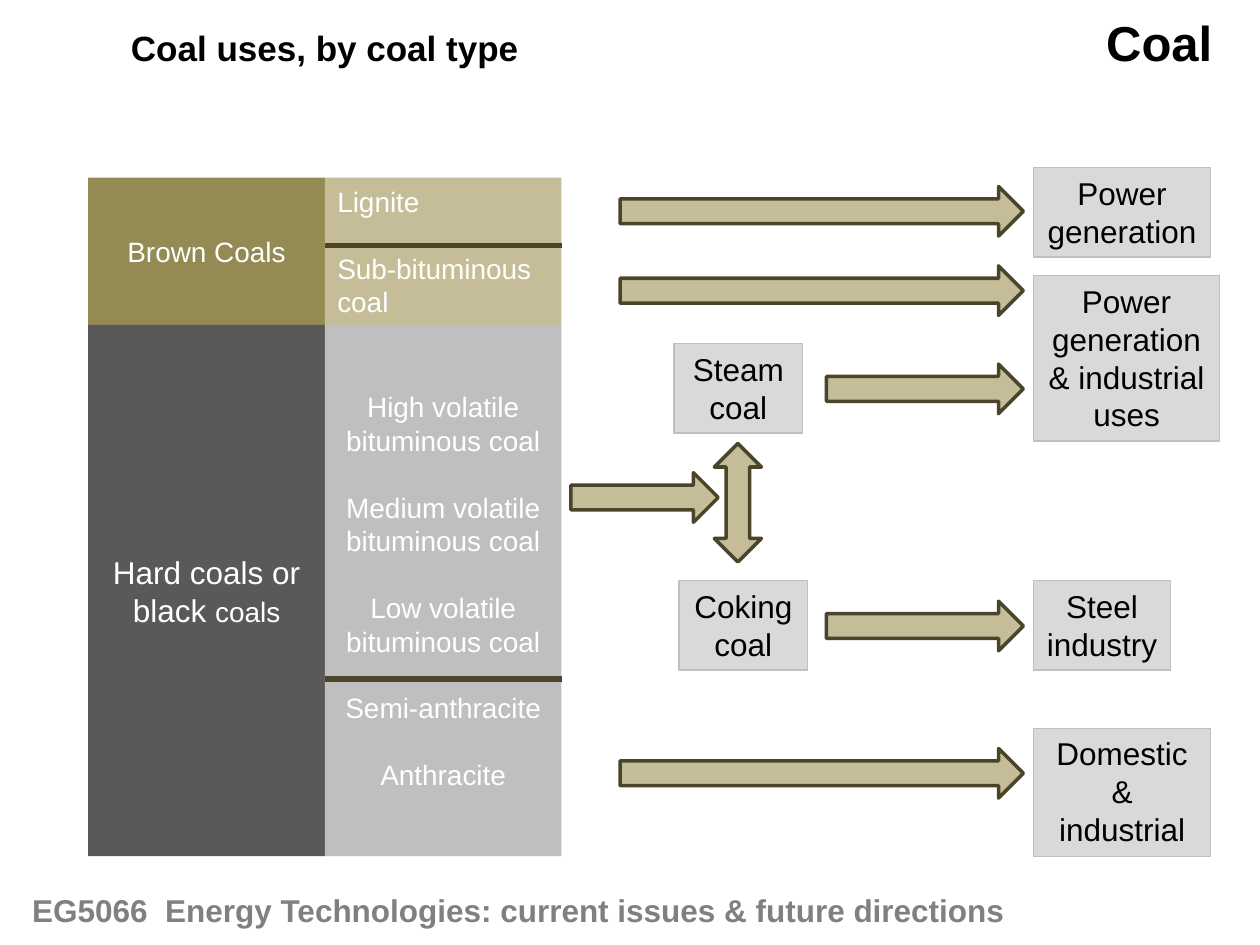
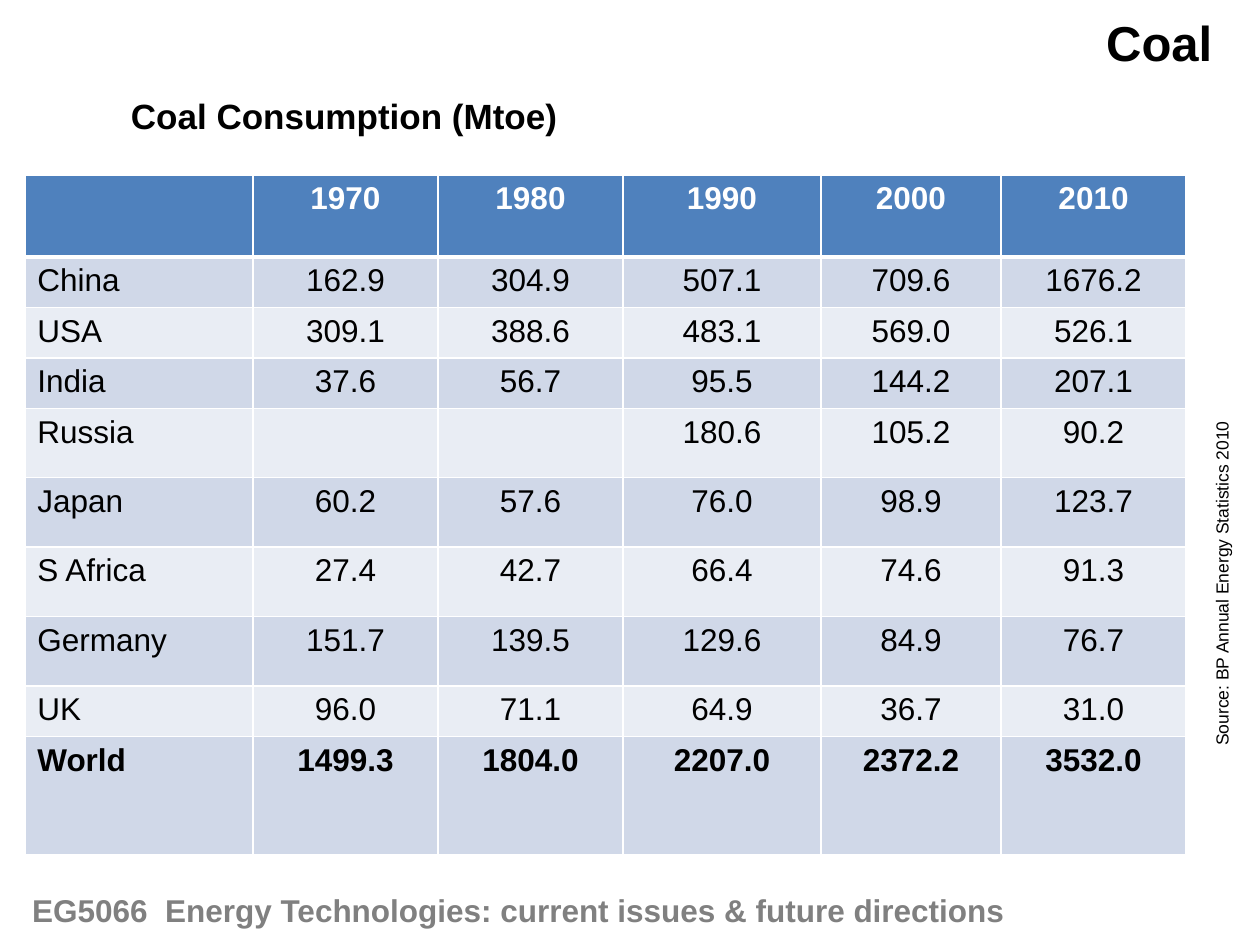
from lxml import etree
from pptx import Presentation
from pptx.dml.color import RGBColor
from pptx.enum.shapes import MSO_CONNECTOR, MSO_SHAPE
from pptx.enum.text import MSO_ANCHOR, PP_ALIGN
from pptx.oxml.ns import qn
from pptx.util import Cm, Pt

BLACK = RGBColor(0x00, 0x00, 0x00)
WHITE = RGBColor(0xFF, 0xFF, 0xFF)
FOOTER_GREY = RGBColor(0x80, 0x80, 0x80)
OLIVE = RGBColor(0x94, 0x8A, 0x54)
SAND = RGBColor(0xC4, 0xBD, 0x97)
DARK_OLIVE = RGBColor(0x4A, 0x45, 0x2A)
COAL_GREY = RGBColor(0x59, 0x59, 0x59)
SILVER = RGBColor(0xBF, 0xBF, 0xBF)
PALE_GREY = RGBColor(0xD9, 0xD9, 0xD9)
HEADER_BLUE = RGBColor(0x4F, 0x81, 0xBD)
BAND_BLUE = RGBColor(0xD0, 0xD8, 0xE8)
BAND_PALE = RGBColor(0xE9, 0xED, 0xF4)

TITLE_FORMAT = {"size": Pt(28), "bold": True}
HEADING_FORMAT = {"size": Pt(20), "bold": True}
FOOTER_FORMAT = {"size": Pt(18), "bold": True}
SOURCE_FORMAT = {"size": Pt(10), "bold": False}
BODY_FORMAT = {"size": Pt(18), "bold": False}
STRONG_FORMAT = {"size": Pt(18), "bold": True}
BAND_FORMAT = {"size": Pt(16), "bold": False}

FOOTER = "EG5066  Energy Technologies: current issues & future directions"
BAND_LEFT, BAND_TOP, BAND_WIDTH = 1.78, 3.58, 4.77
BROWN_HEIGHT, HARD_HEIGHT = 2.97, 10.71
TYPE_LEFT = BAND_LEFT + BAND_WIDTH
HARD_TOP = BAND_TOP + BROWN_HEIGHT
BOX_LINE = 1.8
USE_LEFT = 20.83
ARROW_END = 20.63

COLUMN_WIDTHS = [4.6, 3.73, 3.73, 3.99, 3.63, 3.73]
ROW_HEIGHTS = [1.65] + [0.97] * 3 + [1.4] * 4 + [0.97, 2.38]
CONSUMPTION = [
    ["", "1970", "1980", "1990", "2000", "2010"],
    ["China", "162.9", "304.9", "507.1", "709.6", "1676.2"],
    ["USA", "309.1", "388.6", "483.1", "569.0", "526.1"],
    ["India", "37.6", "56.7", "95.5", "144.2", "207.1"],
    ["Russia", "", "", "180.6", "105.2", "90.2"],
    ["Japan", "60.2", "57.6", "76.0", "98.9", "123.7"],
    ["S Africa", "27.4", "42.7", "66.4", "74.6", "91.3"],
    ["Germany", "151.7", "139.5", "129.6", "84.9", "76.7"],
    ["UK", "96.0", "71.1", "64.9", "36.7", "31.0"],
    ["World", "1499.3", "1804.0", "2207.0", "2372.2", "3532.0"],
]


def format_font(font, values, color):
    for name, value in {"name": "Arial", **values}.items():
        setattr(font, name, value)
    font.color.rgb = color


def write(text_frame, paragraphs, values, color=BLACK, align=PP_ALIGN.LEFT,
          anchor=MSO_ANCHOR.TOP, wrap=True, gap=0):
    """Fill a text frame; gap is the space in points between paragraphs."""
    text_frame.word_wrap = wrap
    text_frame.vertical_anchor = anchor
    for index, text in enumerate(paragraphs):
        paragraph = text_frame.paragraphs[0] if index == 0 else text_frame.add_paragraph()
        paragraph.alignment = align
        if index and gap:
            paragraph.space_before = Pt(gap)
        run = paragraph.add_run()
        run.text = text
        format_font(run.font, values, color)


def add_label(slide, text, left, top, width, height, values, color=BLACK, wrap=False):
    label = slide.shapes.add_textbox(Cm(left), Cm(top), Cm(width), Cm(height))
    write(label.text_frame, [text], values, color, wrap=wrap)
    return label


def add_filled_shape(shapes, kind, left, top, width, height, fill, line=None, weight=0.75):
    shape = shapes.add_shape(kind, Cm(left), Cm(top), Cm(width), Cm(height))
    shape.shadow.inherit = False
    shape.fill.solid()
    shape.fill.fore_color.rgb = fill
    if line is None:
        shape.line.fill.background()
    else:
        shape.line.color.rgb = line
        shape.line.width = Pt(weight)
    return shape


def add_band(shapes, left, top, height, fill, paragraphs, values=BAND_FORMAT,
             align=PP_ALIGN.CENTER):
    band = add_filled_shape(shapes, MSO_SHAPE.RECTANGLE, left, top, BAND_WIDTH, height, fill)
    write(band.text_frame, paragraphs, values, WHITE, align, MSO_ANCHOR.MIDDLE, gap=19)
    return band


def add_box(slide, text, left, top, width, height=BOX_LINE):
    box = add_filled_shape(slide.shapes, MSO_SHAPE.RECTANGLE, left, top, width, height,
                           PALE_GREY, SILVER)
    write(box.text_frame, [text], BODY_FORMAT, align=PP_ALIGN.CENTER)


def add_arrow(slide, left, top, width, height=1, kind=MSO_SHAPE.RIGHT_ARROW):
    add_filled_shape(slide.shapes, kind, left, top, width, height, SAND, DARK_OLIVE, 2)


def add_divider(slide, top):
    divider = slide.shapes.add_connector(
        MSO_CONNECTOR.STRAIGHT, Cm(TYPE_LEFT), Cm(top), Cm(TYPE_LEFT + BAND_WIDTH), Cm(top))
    divider.line.color.rgb = DARK_OLIVE
    divider.line.width = Pt(3)
    etree.SubElement(divider.element.spPr, qn("a:effectLst"))


def add_cell_borders(cell, widths):
    """Draw white borders; widths maps a side (L, R, T, B) to points."""
    properties = cell._tc.get_or_add_tcPr()
    for side, width in widths.items():
        border = etree.SubElement(properties, qn(f"a:ln{side}"), w=str(Pt(width)))
        fill = etree.SubElement(border, qn("a:solidFill"))
        etree.SubElement(fill, qn("a:srgbClr"), val=str(WHITE))


def add_consumption_table(slide):
    table = slide.shapes.add_table(
        len(CONSUMPTION), len(COLUMN_WIDTHS), Cm(0.5), Cm(3.53),
        Cm(sum(COLUMN_WIDTHS)), Cm(sum(ROW_HEIGHTS))).table
    for column, width in zip(table.columns, COLUMN_WIDTHS):
        column.width = Cm(width)
    last_row = len(CONSUMPTION) - 1
    for row_index, values in enumerate(CONSUMPTION):
        table.rows[row_index].height = Cm(ROW_HEIGHTS[row_index])
        is_header = row_index == 0
        band_fill = BAND_BLUE if row_index % 2 else BAND_PALE
        if row_index == last_row:
            band_fill = BAND_BLUE
        for column_index, text in enumerate(values):
            cell = table.cell(row_index, column_index)
            add_cell_borders(cell, {"L": 1, "R": 1, "T": 3 if row_index == 1 else 1,
                                    "B": 3 if is_header else 1})
            cell.fill.solid()
            cell.fill.fore_color.rgb = HEADER_BLUE if is_header else band_fill
            if text:
                write(cell.text_frame, [text],
                      STRONG_FORMAT if row_index in (0, last_row) else BODY_FORMAT,
                      WHITE if is_header else BLACK,
                      PP_ALIGN.CENTER if column_index else PP_ALIGN.LEFT)


def add_titled_slide(presentation, heading, heading_top, heading_width):
    """Add a slide with the shared title and footer and its own heading."""
    slide = presentation.slides.add_slide(presentation.slide_layouts[5])
    title = slide.shapes.title
    frame = {"left": 22.02, "top": 0.13, "width": 2.67, "height": 1.44}
    for name, value in frame.items():
        setattr(title, name, Cm(value))
    write(title.text_frame, ["Coal"], TITLE_FORMAT, align=PP_ALIGN.RIGHT, wrap=False)
    add_label(slide, heading, 2.39, heading_top, heading_width, 1.12, HEADING_FORMAT)
    add_label(slide, FOOTER, 0.4, 17.83, 21.82, 1.02, FOOTER_FORMAT, FOOTER_GREY, wrap=True)
    return slide


def add_coal_types(slide):
    bands = slide.shapes.add_group_shape().shapes
    add_band(bands, BAND_LEFT, BAND_TOP, BROWN_HEIGHT, OLIVE, ["Brown Coals"])
    add_band(bands, TYPE_LEFT, BAND_TOP, BROWN_HEIGHT, SAND,
             ["Lignite", "Sub-bituminous coal"], align=PP_ALIGN.LEFT)
    hard_coals = add_band(bands, BAND_LEFT, HARD_TOP, HARD_HEIGHT, COAL_GREY,
                          ["Hard coals or black "], BODY_FORMAT)
    run = hard_coals.text_frame.paragraphs[0].add_run()
    run.text = "coals"
    format_font(run.font, BAND_FORMAT, WHITE)
    add_band(bands, TYPE_LEFT, HARD_TOP, HARD_HEIGHT, SILVER,
             ["High volatile bituminous coal", "Medium volatile bituminous coal",
              "Low volatile bituminous coal", "Semi-anthracite", "Anthracite"])
    for top in (4.95, 13.69):
        add_divider(slide, top)


def add_coal_uses(slide):
    add_box(slide, "Power generation", USE_LEFT, 3.38, 3.58)
    add_box(slide, "Power generation & industrial uses", USE_LEFT, 5.56, 3.76, 3.33)
    add_box(slide, "Steel industry", USE_LEFT, 11.71, 2.77)
    add_box(slide, "Domestic & industrial", USE_LEFT, 14.68, 3.58, 2.59)
    add_box(slide, "Steam coal", 13.59, 6.93, 2.59)
    add_box(slide, "Coking coal", 13.69, 11.71, 2.59)
    for left, tops in ((12.5, (3.76, 5.36, 15.09)), (16.66, (7.34, 12.12))):
        for top in tops:
            add_arrow(slide, left, top, ARROW_END - left)
    add_arrow(slide, 14.4, 8.94, 0.95, 2.39, MSO_SHAPE.UP_DOWN_ARROW)
    add_arrow(slide, 11.51, 9.53, 2.97)


def main():
    presentation = Presentation()
    presentation.slide_width = Cm(25.4)
    presentation.slide_height = Cm(19.05)

    uses_slide = add_titled_slide(presentation, "Coal uses, by coal type", 0.41, 8.38)
    add_coal_types(uses_slide)
    add_coal_uses(uses_slide)

    consumption_slide = add_titled_slide(presentation, "Coal Consumption (Mtoe)", 1.78, 9.17)
    add_consumption_table(consumption_slide)
    source = add_label(consumption_slide, "Source: BP Annual Energy Statistics 2010",
                       21.08, 11.38, 7.11, 0.69, SOURCE_FORMAT)
    source.rotation = 270

    presentation.save("out.pptx")


if __name__ == "__main__":
    main()
